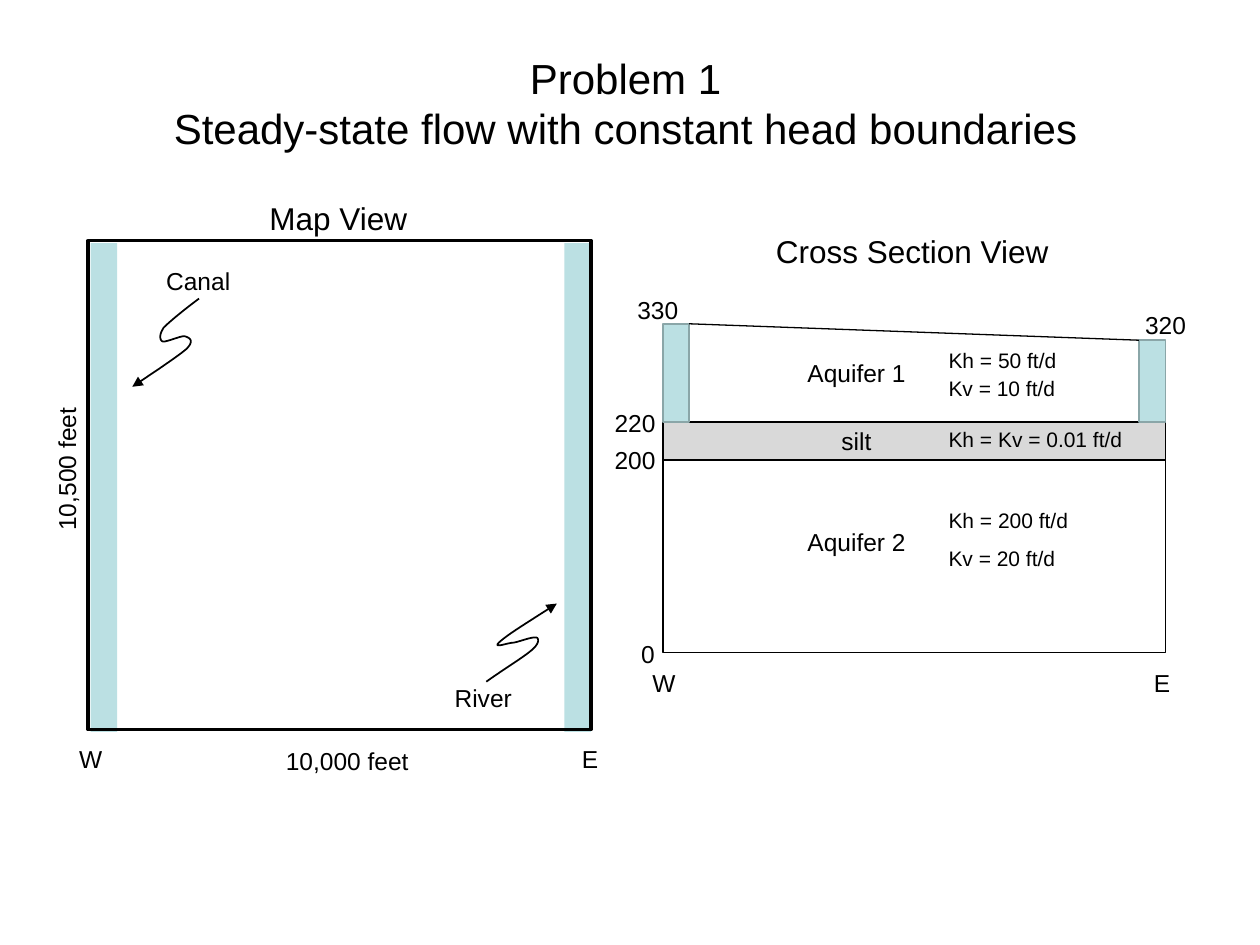
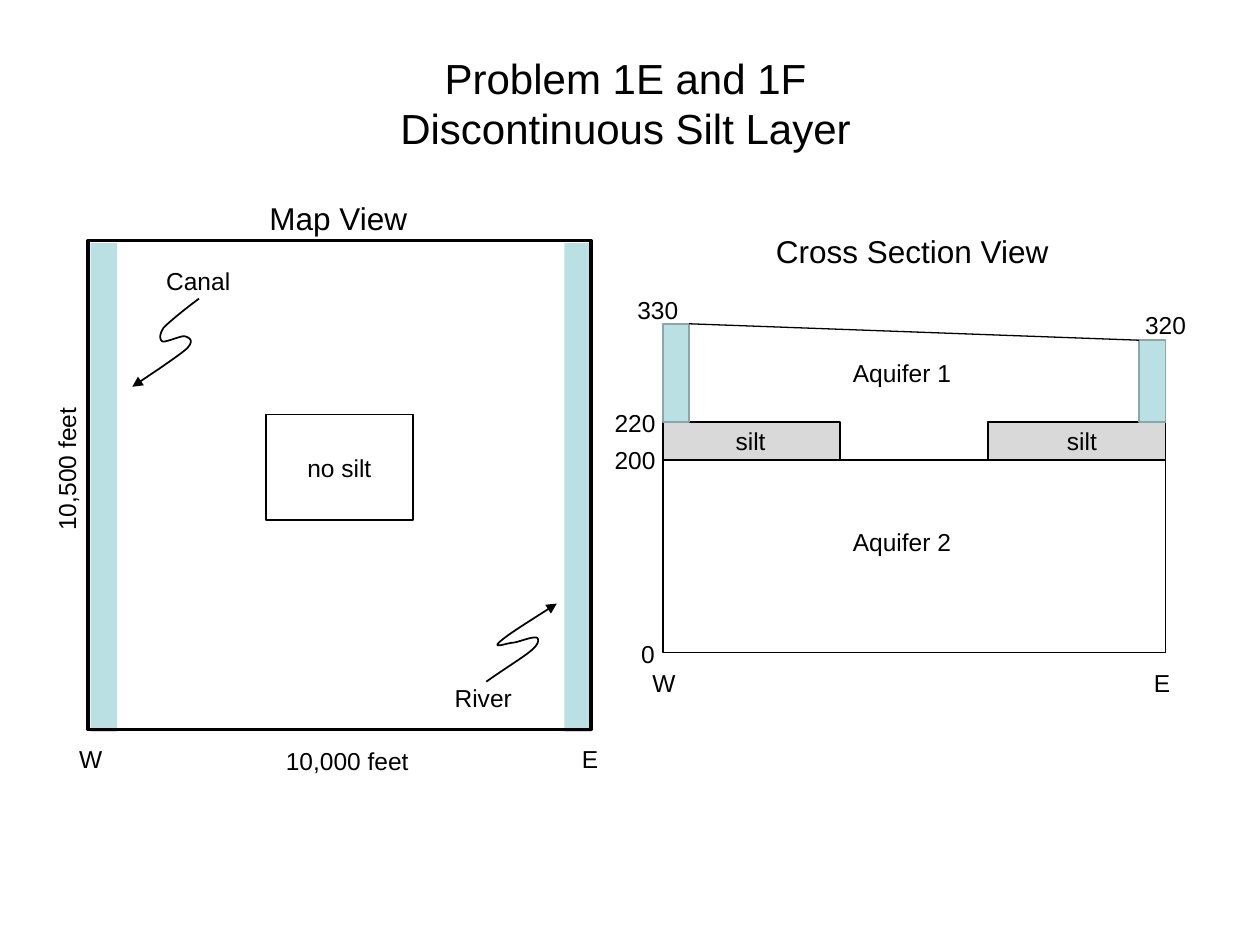
"""Build two groundwater problem slides, each with a map view and a cross section."""
from lxml import etree
from pptx import Presentation
from pptx.dml.color import RGBColor
from pptx.enum.shapes import MSO_CONNECTOR, MSO_SHAPE
from pptx.enum.text import MSO_ANCHOR, MSO_AUTO_SIZE, PP_ALIGN
from pptx.oxml.ns import qn
from pptx.util import Inches, Pt

RECTANGLE = MSO_SHAPE.RECTANGLE
STRAIGHT = MSO_CONNECTOR.STRAIGHT
MIDDLE, TOP = MSO_ANCHOR.MIDDLE, MSO_ANCHOR.TOP
FIT, FIXED = MSO_AUTO_SIZE.SHAPE_TO_FIT_TEXT, MSO_AUTO_SIZE.NONE
LEFT, CENTER = PP_ALIGN.LEFT, PP_ALIGN.CENTER

COLORS = {"ink": "000000", "water": "BBE0E3", "bank": "8AA6A8", "silt": "D9D9D9", "paper": "FFFFFF"}
FONT = "Arial"
HEIGHTS = {12: 3, 14: 3.4, 18: 4, 24: 10.3}

deck = Presentation()
deck.slide_width, deck.slide_height = Inches(10), Inches(7.5)
COLUMN = deck.slide_width // 100
ROW = deck.slide_height // 75

MAP_LEFT, MAP_TOP, MAP_SIDE = 7, 19.1, 38.8
VIEW_WIDTH = 39.9
BANK_WIDTH = 2.1
SECTION_LEFT = 52.6
SECTION_RIGHT = SECTION_LEFT + VIEW_WIDTH
CANAL_TOP, RIVER_TOP, SILT_TOP, SAND_TOP, BASE = 25.7, 27, 33.5, 36.5, 51.8
GAP_WIDTH, GAP_HEIGHT = 11.7, 8.4


def add_label(page, text, left, top, width, size=14, title=False):
    """Place text on the grid, one line per line of the string."""
    box = page.shapes.add_textbox(round(left * COLUMN), round(top * ROW),
                                  round(width * COLUMN), round(HEIGHTS[size] * ROW))
    frame = box.text_frame
    frame.word_wrap = title
    frame.auto_size = FIXED if title else FIT
    frame.vertical_anchor = MIDDLE if title else TOP
    para = frame.paragraphs[0]
    para.alignment = CENTER if title else LEFT
    for index, line in enumerate(text.split("\n")):
        if index:
            para.add_line_break()
        span = para.add_run()
        span.text = line
        span.font.name, span.font.size = FONT, Pt(size)
        span.font.color.rgb = RGBColor.from_string(COLORS["ink"])
    return box


def add_box(page, left, top, width, height, fill=None, line=None, weight=1):
    """Draw a rectangle on the grid."""
    box = page.shapes.add_shape(RECTANGLE, round(left * COLUMN), round(top * ROW),
                                round(width * COLUMN), round(height * ROW))
    box.shadow.inherit = False
    if fill:
        box.fill.solid()
        box.fill.fore_color.rgb = RGBColor.from_string(COLORS[fill])
    else:
        box.fill.background()
    if line:
        box.line.color.rgb = RGBColor.from_string(COLORS[line])
        box.line.width = Pt(weight)
    else:
        box.line.fill.background()


MAP_LABELS = [
    ("Map View", 20.4, 15.3, 13.1, 18),
    ("Canal", 12.2, 20.6, 7.1, 14),
    ("River", 35.1, 53.7, 6.6, 14),
    ("W", 5.3, 58.6, 3.9, 14),
    ("E", 45.2, 58.6, 3.3, 14),
    ("10,000 feet", 21.7, 58.7, 11.8, 14),
]
SECTION_LABELS = [
    ("Cross Section View", 60.6, 17.9, 23.9, 18),
    ("0", 49.9, 50.2, 3.1, 14),
    ("200", 47.8, 34.8, 5.3, 14),
    ("220", 47.8, 31.9, 5.3, 14),
    ("330", 49.6, 22.9, 5.3, 14),
    ("320", 89.9, 24.1, 5.3, 14),
    ("W", 50.8, 52.5, 3.9, 14),
    ("E", 90.6, 52.5, 3.3, 14),
]
CONDUCTIVITIES = [
    ("Kh = 50 ft/d", 27.1, 10.7),
    ("Kv = 10 ft/d", 29.3, 10.6),
    ("Kh = Kv = 0.01 ft/d", 33.4, 16),
    ("Kh = 200 ft/d", 39.8, 11.6),
    ("Kv = 20 ft/d", 42.8, 10.6),
]
CANAL_ARROW = [
    (15.8, 23.7), (14.6, 24.6), (13.5, 25.5), (13, 26), (12.6, 26.6), (12.7, 27), (12.9, 27.1),
    (13.2, 27.2), (14.4, 26.6), (14.7, 26.7), (15, 26.8), (15.5, 27), (14.8, 27.7),
    (14.1, 28.3), (12.3, 29.5), (10.5, 30.7),
]
RIVER_ARROW = [
    (38.6, 54.1), (40, 53.1), (41.5, 52.2), (42.2, 51.6), (42.8, 51.1), (42.8, 50.7), (42.6, 50.6),
    (42.3, 50.5), (41.3, 50.9), (40.8, 51), (40.3, 51), (39.1, 51.5), (39.6, 51),
    (40.2, 50.4), (42.2, 49.2), (44.2, 47.9),
]
STEPS = 12

PROBLEMS = [
    {"title": "Problem 1\nSteady-state flow with constant head boundaries",
     "silt_width": VIEW_WIDTH, "silt_starts": [SECTION_LEFT],
     "silt_labels": [65.8], "aquifer_left": 63.1, "gap": False, "values": CONDUCTIVITIES},
    {"title": "Problem 1E and 1F\nDiscontinuous Silt Layer",
     "silt_width": 14.1, "silt_starts": [SECTION_LEFT, SECTION_RIGHT - 14.1],
     "silt_labels": [57.4, 83.7], "aquifer_left": 66.7, "gap": True, "values": []},
]

for problem in PROBLEMS:
    page = deck.slides.add_slide(deck.slide_layouts[6])
    add_label(page, problem["title"], 4.8, 3, 89.7, 24, title=True)

    for bank_left in (MAP_LEFT + 0.2, MAP_LEFT + VIEW_WIDTH - BANK_WIDTH):
        add_box(page, bank_left, MAP_TOP + 0.2, BANK_WIDTH, MAP_SIDE, "water")
    add_box(page, MAP_LEFT, MAP_TOP, VIEW_WIDTH, MAP_SIDE, line="ink", weight=2)
    for label in MAP_LABELS:
        add_label(page, *label)
    add_label(page, "10,500 feet", -0.6, 35.5, 11.8).rotation = 270

    for knots in (CANAL_ARROW, RIVER_ARROW):
        points = []
        for first in range(0, len(knots) - 1, 3):
            a, b, c, d = knots[first:first + 4]
            for step in range(1, STEPS + 1):
                t = step / STEPS
                weights = ((1 - t) ** 3, 3 * t * (1 - t) ** 2, 3 * t ** 2 * (1 - t), t ** 3)
                x, y = (sum(w * knot[axis] for w, knot in zip(weights, (a, b, c, d))) for axis in (0, 1))
                points.append((round(x * COLUMN), round(y * ROW)))
        builder = page.shapes.build_freeform(round(knots[0][0] * COLUMN), round(knots[0][1] * ROW))
        builder.add_line_segments(points, close=False)
        arrow = builder.convert_to_shape()
        arrow.shadow.inherit = False
        arrow.fill.background()
        arrow.line.color.rgb = RGBColor.from_string(COLORS["ink"])
        arrow.line.width = Pt(1)
        etree.SubElement(arrow.line._get_or_add_ln(), qn("a:tailEnd"), type="triangle")

    if problem["gap"]:
        add_box(page, MAP_LEFT + (VIEW_WIDTH - GAP_WIDTH) / 2, 32.9, GAP_WIDTH, GAP_HEIGHT, line="ink")
        add_label(page, "no silt", 23.4, 35.5, 7.1)

    add_box(page, SECTION_LEFT, SAND_TOP, VIEW_WIDTH, BASE - SAND_TOP, "paper", "ink")
    for silt_left in problem["silt_starts"]:
        add_box(page, silt_left, SILT_TOP, problem["silt_width"], SAND_TOP - SILT_TOP, "silt", "ink")
    for bank_left, bank_top in ((SECTION_LEFT, CANAL_TOP), (SECTION_RIGHT - BANK_WIDTH, RIVER_TOP)):
        add_box(page, bank_left, bank_top, BANK_WIDTH, SILT_TOP - bank_top, "water", "bank")
    water_table = page.shapes.add_connector(
        STRAIGHT, round((SECTION_LEFT + BANK_WIDTH) * COLUMN), round(CANAL_TOP * ROW),
        round((SECTION_RIGHT - BANK_WIDTH) * COLUMN), round(RIVER_TOP * ROW))
    water_table.line.color.rgb = RGBColor.from_string(COLORS["ink"])
    water_table.line.width = Pt(0.75)
    etree.SubElement(water_table._element.spPr, qn("a:effectLst"))

    for label in SECTION_LABELS:
        add_label(page, *label)
    for name, top in (("Aquifer 1", 27.9), ("Aquifer 2", 41.3)):
        add_label(page, name, problem["aquifer_left"], top, 9.9)
    for silt_label_left in problem["silt_labels"]:
        add_label(page, "silt", silt_label_left, 33.3, 4.4)
    for value, top, width in problem["values"]:
        add_label(page, value, 74.3, top, width, 12)

deck.save("out.pptx")
